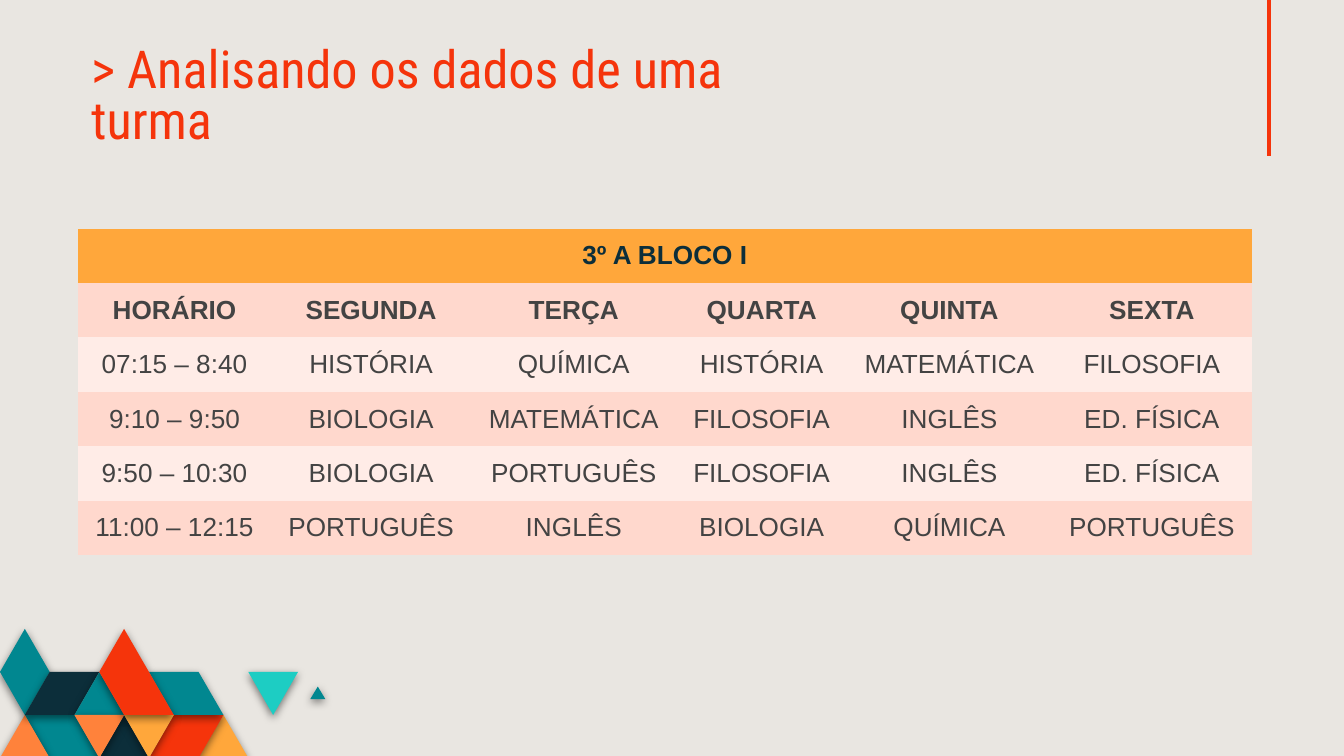
from dataclasses import dataclass
from math import sqrt

from lxml.etree import SubElement
from pptx import Presentation
from pptx.dml.color import RGBColor
from pptx.enum.shapes import MSO_CONNECTOR as Connector
from pptx.enum.text import MSO_ANCHOR as Anchor, PP_ALIGN as Align
from pptx.oxml.ns import qn
from pptx.slide import Slide
from pptx.text.text import _Paragraph as Paragraph
from pptx.util import Emu, Inches, Pt

WIDTH = Inches(10)
HEIGHT = Emu(WIDTH * 9 // 16)
COLORS = {
    "background": "E9E6E1", "red": "F5340B", "amber": "FFA73B", "orange": "FF823B",
    "teal": "018790", "turquoise": "1DCDC3", "navy": "0C2E3A", "gray": "434343",
    "rose": "FFD8CD", "pale rose": "FFECE7", "shadow": "000000",
}
NO_STYLE_NO_GRID = "{2D5ABB26-0587-4C30-8999-92F81FD0307C}"

COLUMN_WIDTHS = (14.38, 14.88, 15.28, 12.68, 15.27, 14.86)  # percent of the slide width
TIMETABLE_TITLE = "3º A BLOCO I"
TIMETABLE = (
    ("HORÁRIO", "SEGUNDA", "TERÇA", "QUARTA", "QUINTA", "SEXTA"),
    ("07:15 – 8:40", "HISTÓRIA", "QUÍMICA", "HISTÓRIA", "MATEMÁTICA", "FILOSOFIA"),
    ("9:10 – 9:50", "BIOLOGIA", "MATEMÁTICA", "FILOSOFIA", "INGLÊS", "ED. FÍSICA"),
    ("9:50 – 10:30", "BIOLOGIA", "PORTUGUÊS", "FILOSOFIA", "INGLÊS", "ED. FÍSICA"),
    ("11:00 – 12:15", "PORTUGUÊS", "INGLÊS", "BIOLOGIA", "QUÍMICA", "PORTUGUÊS"),
)


@dataclass(frozen=True)
class Tile:
    """A mosaic piece whose corners are (column, row) points of a triangular grid."""
    color: str
    corners: tuple[tuple[float, float], ...]


GRID_TOP = Inches(4.68)
GRID_ROW = Inches(0.32)
GRID_COLUMN = GRID_ROW / sqrt(3)  # half the side of an equilateral triangle
TILES = (
    Tile("amber", ((10, 3), (9, 2), (8, 3))),
    Tile("red", ((9, 2), (7, 2), (6, 3), (8, 3))),
    Tile("teal", ((4, 3), (3, 2), (1, 2), (2, 3))),
    Tile("orange", ((2, 3), (1, 2), (0, 3))),
    Tile("navy", ((6, 3), (5, 2), (4, 3))),
    Tile("teal", ((9, 2), (8, 1), (6, 1), (7, 2))),
    Tile("teal", ((13.1, 1.63), (12.8, 1.34), (12.5, 1.63))),
    Tile("turquoise", ((12, 1), (10, 1), (11, 2))),
    Tile("teal", ((2, 1), (1, 0), (0, 1), (1, 2))),
    Tile("navy", ((4, 1), (2, 1), (1, 2), (3, 2))),
    Tile("teal", ((5, 2), (4, 1), (3, 2))),
    Tile("orange", ((5, 2), (3, 2), (4, 3))),
    Tile("amber", ((7, 2), (5, 2), (6, 3))),
    Tile("red", ((7, 2), (5, 0), (4, 1), (5, 2))),
)


def across(percent: float) -> Emu:
    return Emu(round(WIDTH * percent / 100))


def down(percent: float) -> Emu:
    return Emu(round(HEIGHT * percent / 100))


def color(name: str) -> RGBColor:
    return RGBColor.from_string(COLORS[name])


def add_text(paragraph: Paragraph, text: str, font: str, size: float,
             color_name: str, bold: bool = False) -> None:
    run = paragraph.add_run()
    run.text = text
    run.font.name = font
    run.font.size = Pt(size)
    run.font.bold = bold
    run.font.color.rgb = color(color_name)


def add_accent_line(slide: Slide) -> None:
    line = slide.shapes.add_connector(
        Connector.STRAIGHT, across(94.4), 0, across(94.4), down(20.6))
    line.line.color.rgb = color("red")
    line.line.width = Pt(2.25)
    SubElement(line._element.spPr, qn("a:effectLst"))


def add_tile(slide: Slide, tile: Tile) -> None:
    points = [(round(column * GRID_COLUMN), round(GRID_TOP + row * GRID_ROW))
              for column, row in tile.corners]
    builder = slide.shapes.build_freeform(*points[0], scale=1.0)
    builder.add_line_segments(points[1:], close=True)
    shape = builder.convert_to_shape()
    shape.fill.solid()
    shape.fill.fore_color.rgb = color(tile.color)
    shape.line.fill.background()
    effects = SubElement(shape._element.spPr, qn("a:effectLst"))
    shadow = SubElement(effects, qn("a:outerShdw"), blurRad=str(Pt(4.5)),
                        dist=str(Pt(1.5)), dir="5400000", algn="bl", rotWithShape="0")
    shade = SubElement(shadow, qn("a:srgbClr"), val=COLORS["shadow"])
    SubElement(shade, qn("a:alpha"), val="49000")


def add_title(slide: Slide) -> None:
    frame = slide.shapes.add_textbox(
        across(5.8), down(7.5), across(54), down(11.2)).text_frame
    frame.word_wrap = True
    frame.vertical_anchor = Anchor.MIDDLE
    frame.margin_left = frame.margin_right = Inches(0.1)
    frame.margin_top = frame.margin_bottom = Inches(0.1)
    paragraph = frame.paragraphs[0]
    paragraph.line_spacing = 0.8
    add_text(paragraph, "> Analisando os dados de uma turma", "Roboto Condensed", 28, "red")


def add_timetable(slide: Slide) -> None:
    table = slide.shapes.add_table(
        len(TIMETABLE) + 1, len(COLUMN_WIDTHS),
        across(5.8), down(30.25), across(sum(COLUMN_WIDTHS)), down(43.2)).table
    table._tbl.tblPr.find(qn("a:tableStyleId")).text = NO_STYLE_NO_GRID
    for column, width in zip(table.columns, COLUMN_WIDTHS):
        column.width = across(width)

    table.cell(0, 0).merge(table.cell(0, len(COLUMN_WIDTHS) - 1))
    for row, texts in enumerate(((TIMETABLE_TITLE,), *TIMETABLE)):
        fill = "amber" if row == 0 else "rose" if row % 2 else "pale rose"
        for column, text in enumerate(texts):
            cell = table.cell(row, column)
            cell.fill.solid()
            cell.fill.fore_color.rgb = color(fill)
            cell.vertical_anchor = Anchor.MIDDLE
            paragraph = cell.text_frame.paragraphs[0]
            paragraph.alignment = Align.CENTER
            add_text(paragraph, text, "Arial", 14,
                     "navy" if row == 0 else "gray", bold=row < 2)


def main() -> None:
    presentation = Presentation()
    presentation.slide_width, presentation.slide_height = WIDTH, HEIGHT
    slide = presentation.slides.add_slide(presentation.slide_layouts[6])
    slide.background.fill.solid()
    slide.background.fill.fore_color.rgb = color("background")

    add_accent_line(slide)
    for tile in TILES:
        add_tile(slide, tile)
    add_title(slide)
    add_timetable(slide)
    presentation.save("out.pptx")


if __name__ == "__main__":
    main()
